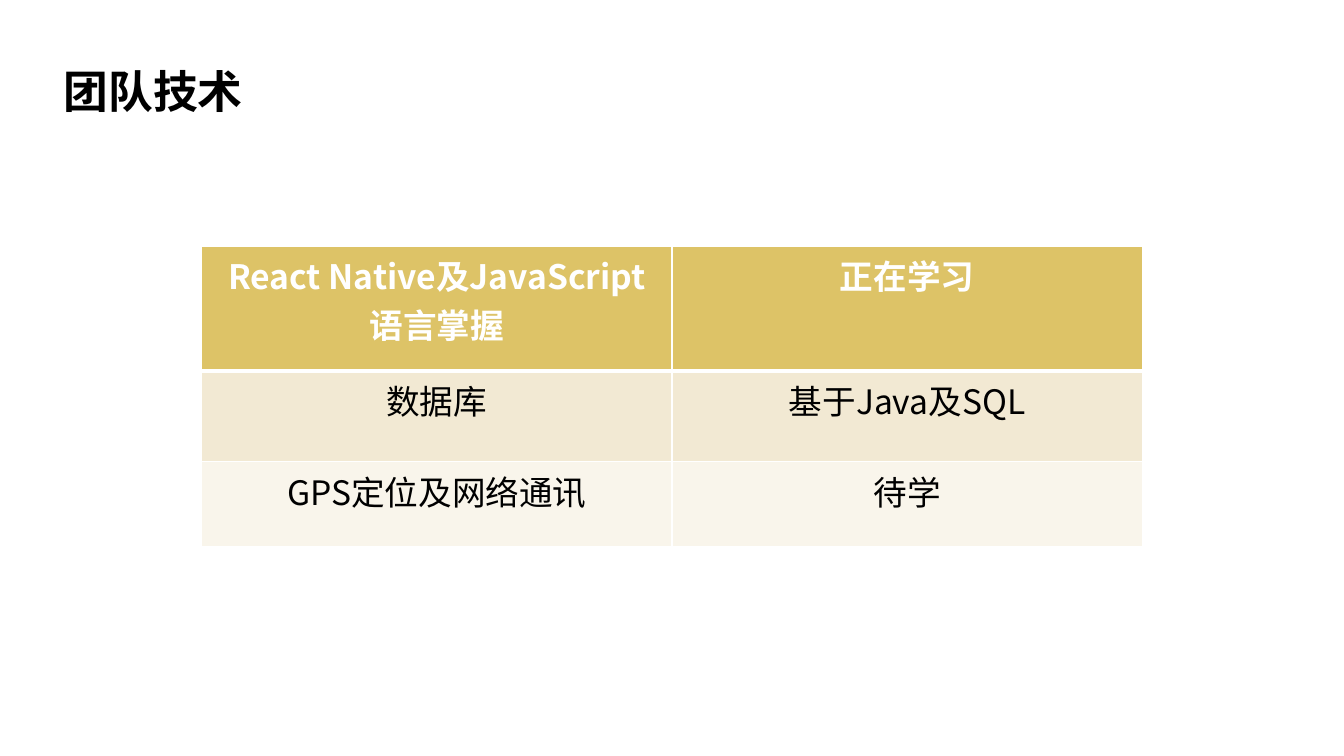
import pptx
import pptx.util
import pptx.dml.color
import pptx.enum.text
import pptx.oxml.ns
import lxml.etree

TITLE = "团队技术"
SKILLS = [
    ("React Native及JavaScript语言掌握", "正在学习"),
    ("数据库", "基于Java及SQL"),
    ("GPS定位及网络通讯", "待学"),
]
THEME = {
    "font": "Noto Sans CJK SC",
    "title_size": 32,
    "table_size": 24,
    "ink": "000000",
    "paper": "FFFFFF",
    "row_fills": ["DDC367", "F2E9D3", "F9F5EB"],
    "rule": 1,
    "header_rule": 3,
}
SLIDE_WIDTH, SLIDE_HEIGHT = 13.33, 7.5
TITLE_BOX = (0.43, 0.38, 3.93, 1.04)
TABLE_TOP = 2.44
TABLE_WIDTH = SLIDE_WIDTH * 0.7
ROW_HEIGHTS = [1.24, 0.9, 0.84]

inches = pptx.util.Inches
qn = pptx.oxml.ns.qn


def color(code):
    return pptx.dml.color.RGBColor.from_string(code)


def style(paragraph, size, ink, bold):
    font = paragraph.font
    font.name = THEME["font"]
    font.size = pptx.util.Pt(size)
    font.bold = bold
    font.color.rgb = color(ink)
    defaults = paragraph._p.pPr.find(qn("a:defRPr"))
    lxml.etree.SubElement(defaults, qn("a:ea"), typeface=THEME["font"])


def add_borders(cell, row):
    widths = {side: THEME["rule"] for side in "LRTB"}
    if row == 0:
        widths["B"] = THEME["header_rule"]
    if row == 1:
        widths["T"] = THEME["header_rule"]
    properties = cell._tc.get_or_add_tcPr()
    for position, (side, width) in enumerate(widths.items()):
        border = lxml.etree.Element(qn("a:ln" + side), w=str(pptx.util.Pt(width)))
        fill = lxml.etree.SubElement(border, qn("a:solidFill"))
        lxml.etree.SubElement(fill, qn("a:srgbClr"), val=THEME["paper"])
        properties.insert(position, border)


def add_title(slide):
    title = slide.shapes.add_textbox(*map(inches, TITLE_BOX))
    title.fill.solid()
    title.fill.fore_color.rgb = color(THEME["paper"])
    frame = title.text_frame
    frame.word_wrap = True
    frame.margin_left = inches(0.2)
    frame.vertical_anchor = pptx.enum.text.MSO_ANCHOR.MIDDLE
    frame.text = TITLE
    style(frame.paragraphs[0], THEME["title_size"], THEME["ink"], True)


def add_skills(slide):
    left = (SLIDE_WIDTH - TABLE_WIDTH) / 2
    bounds = (left, TABLE_TOP, TABLE_WIDTH, sum(ROW_HEIGHTS))
    skills = slide.shapes.add_table(
        len(SKILLS), len(SKILLS[0]), *map(inches, bounds)
    ).table
    for row, entries in enumerate(SKILLS):
        skills.rows[row].height = inches(ROW_HEIGHTS[row])
        header = row == 0
        for column, entry in enumerate(entries):
            cell = skills.cell(row, column)
            cell.text = entry
            cell.fill.solid()
            cell.fill.fore_color.rgb = color(THEME["row_fills"][row])
            add_borders(cell, row)
            paragraph = cell.text_frame.paragraphs[0]
            paragraph.alignment = pptx.enum.text.PP_ALIGN.CENTER
            ink = THEME["paper"] if header else THEME["ink"]
            style(paragraph, THEME["table_size"], ink, header)


def main():
    deck = pptx.Presentation()
    deck.slide_width = inches(SLIDE_WIDTH)
    deck.slide_height = inches(SLIDE_HEIGHT)
    slide = deck.slides.add_slide(deck.slide_layouts[6])
    add_title(slide)
    add_skills(slide)
    deck.save("out.pptx")


if __name__ == "__main__":
    main()
